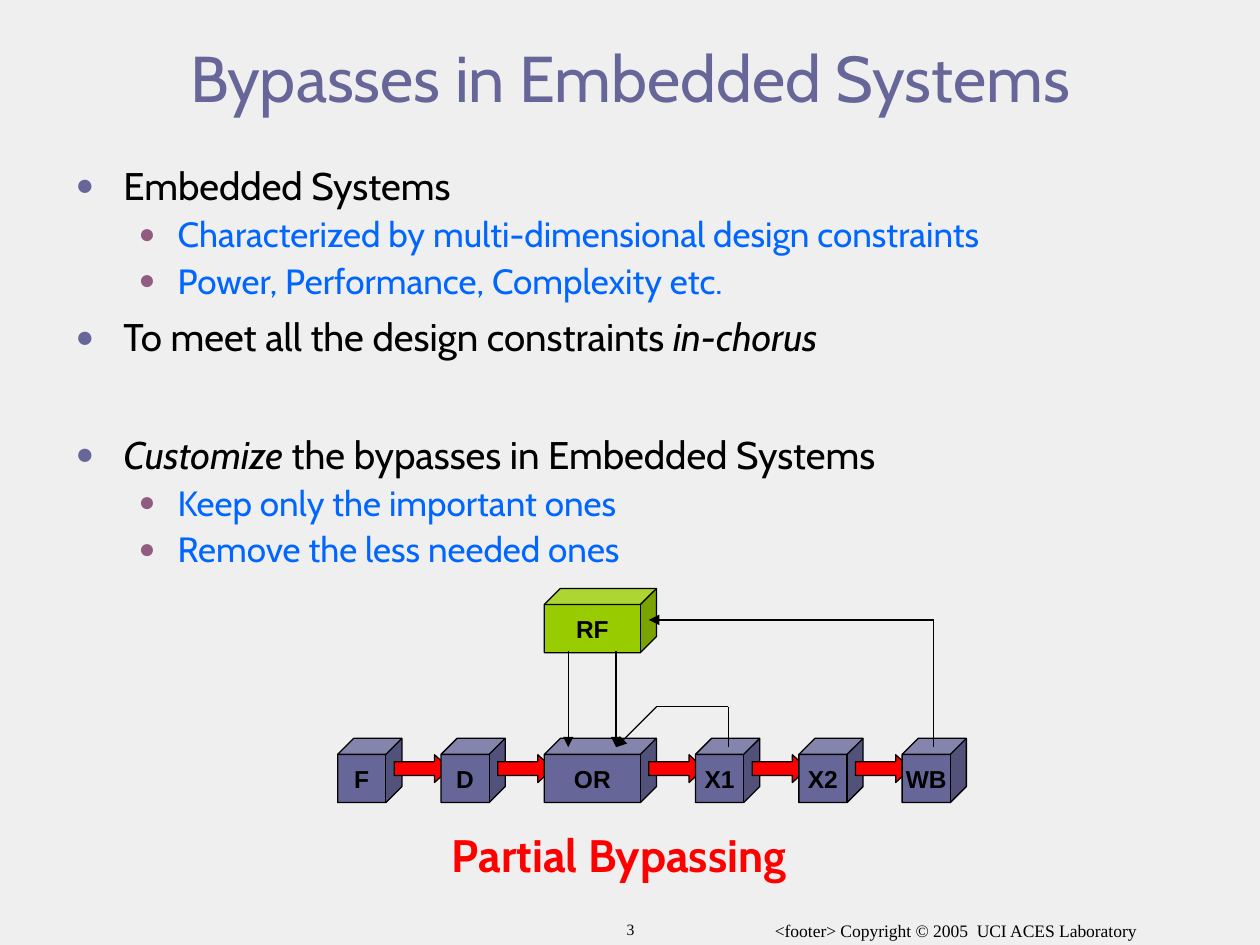
"""Build the slide on partial bypassing in embedded systems."""
import pptx
import pptx.dml.color
import pptx.enum.shapes
import pptx.enum.text
import pptx.oxml
import pptx.oxml.ns
import pptx.util
from pptx.util import Inches

RGBColor = pptx.dml.color.RGBColor
BACKGROUND = RGBColor(0xEF, 0xEF, 0xEF)
BLACK = RGBColor(0, 0, 0)
SLATE = RGBColor(0x66, 0x66, 0x99)
PLUM = RGBColor(0x90, 0x5C, 0x80)
BLUE = RGBColor(0x00, 0x66, 0xFF)
GREEN = RGBColor(0x99, 0xCC, 0x00)
RED = RGBColor(0xFF, 0, 0)
SHAPES = pptx.enum.shapes.MSO_SHAPE
ANCHOR = pptx.enum.text.MSO_ANCHOR
CENTER = pptx.enum.text.PP_ALIGN.CENTER


def add_span(para, text, *, size, font="Cabin", color=BLACK, bold=False, italic=False):
    span = para.add_run()
    span.text = text
    span.font.size = pptx.util.Pt(size)
    span.font.name = font
    span.font.color.rgb = color
    span.font.bold = bold
    span.font.italic = italic


def add_part(kind, left, top, width, height, color):
    part = page.shapes.add_shape(kind, Inches(left), Inches(top), Inches(width), Inches(height))
    part.shadow.inherit = False
    part.fill.solid()
    part.fill.fore_color.rgb = color
    part.line.color.rgb = BLACK
    part.line.width = pptx.util.Pt(0.75)
    return part


deck = pptx.Presentation()
deck.slide_width = Inches(10)
deck.slide_height = Inches(7.5)
page = deck.slides.add_slide(deck.slide_layouts[1])
page.background.fill.solid()
page.background.fill.fore_color.rgb = BACKGROUND

title = page.shapes.title
title.left, title.top, title.width, title.height = Inches(0.5), Inches(0.3), Inches(9), Inches(0.72)
title.text_frame.auto_size = pptx.enum.text.MSO_AUTO_SIZE.NONE
title.text_frame.vertical_anchor = ANCHOR.MIDDLE
para = title.text_frame.paragraphs[0]
para.alignment = CENTER
para.line_spacing = 0.85
add_span(para, "Bypasses in Embedded Systems", size=37, color=SLATE)

body = page.placeholders[1]
body.left, body.top, body.width, body.height = Inches(0.5), Inches(1.29), Inches(9), Inches(3.29)
body.text_frame.auto_size = pptx.enum.text.MSO_AUTO_SIZE.NONE
level_styles = [
    {"indent": 0.38, "hang": 0.38, "bullet": SLATE, "size": 22, "color": BLACK},
    {"indent": 0.81, "hang": 0.31, "bullet": PLUM, "size": 20, "color": BLUE},
]
points = [
    (0, 0, [("Embedded Systems", False)]),
    (1, 6.2, [("Characterized by multi-dimensional design constraints", False)]),
    (1, 6.2, [("Power, Performance, Complexity etc.", False)]),
    (0, 11, [("To meet all the design constraints ", False), ("in-chorus", True)]),
    (0, 44.5, [("Customize", True), (" the bypasses in Embedded Systems", False)]),
    (1, 6.2, [("Keep only the important ones", False)]),
    (1, 6.2, [("Remove the less needed ones", False)]),
]
for index, (level, space, spans) in enumerate(points):
    para = body.text_frame.add_paragraph() if index else body.text_frame.paragraphs[0]
    style = level_styles[level]
    para.level = level
    para.line_spacing = 0.85
    para.space_before = pptx.util.Pt(space)
    properties = para._p.get_or_add_pPr()
    properties.set("marL", str(Inches(style["indent"])))
    properties.set("indent", str(-Inches(style["hang"])))
    for markup in (
        f'<a:buClr {pptx.oxml.ns.nsdecls("a")}><a:srgbClr val="{style["bullet"]}"/></a:buClr>',
        f'<a:buSzPct {pptx.oxml.ns.nsdecls("a")} val="80000"/>',
        f'<a:buFont {pptx.oxml.ns.nsdecls("a")} typeface="Arial"/>',
        f'<a:buChar {pptx.oxml.ns.nsdecls("a")} char="●"/>',
    ):
        properties.append(pptx.oxml.parse_xml(markup))
    for text, italic in spans:
        add_span(para, text, size=style["size"], color=style["color"], italic=italic)

STAGE_TOP, CUBE, WIDE_CUBE, GAP = 5.86, 0.51, 0.89, 0.31
cubes = []
left = 2.68
for name in ("F", "D", "OR", "X1", "X2", "WB"):
    width = WIDE_CUBE if name == "OR" else CUBE
    cubes.append((name, left, STAGE_TOP, width, SLATE))
    left += width + GAP
cubes.append(("RF", 4.32, 4.67, WIDE_CUBE, GREEN))
for name, left, top, width, color in cubes:
    cube = add_part(SHAPES.CUBE, left, top, width, CUBE, color)
    cube.text_frame.word_wrap = False
    cube.text_frame.vertical_anchor = ANCHOR.MIDDLE
    para = cube.text_frame.paragraphs[0]
    para.alignment = CENTER
    add_span(para, name, size=14, font="Arial", bold=True)
    if name not in ("WB", "RF"):
        arrow = add_part(SHAPES.RIGHT_ARROW, left + width - 0.06, 5.99, 0.44, 0.22, RED)
        arrow.adjustments[0] = 0.5
        arrow.adjustments[1] = 0.55

routes = [
    [(4.51, 5.17), (4.51, 5.93)],
    [(4.89, 5.17), (4.89, 5.93)],
    [(5.78, 5.93), (5.78, 5.61), (5.21, 5.61), (4.89, 5.93)],
    [(7.41, 5.93), (7.41, 4.92), (5.15, 4.92)],
]
for route in routes:
    for start, end in zip(route, route[1:]):
        wire = page.shapes.add_connector(
            pptx.enum.shapes.MSO_CONNECTOR.STRAIGHT, *map(Inches, start + end))
        wire.line.color.rgb = BLACK
        wire.line.width = pptx.util.Pt(0.75)
        if end == route[-1]:
            wire.line._get_or_add_ln().append(pptx.oxml.parse_xml(
                f'<a:tailEnd {pptx.oxml.ns.nsdecls("a")} type="triangle"/>'))
        wire._element.spPr.append(pptx.oxml.parse_xml(
            f'<a:effectLst {pptx.oxml.ns.nsdecls("a")}/>'))

labels = [
    ("Partial Bypassing", 3.08, 6.58, 3.67, 0.5, 0.85,
     {"size": 26, "color": RED, "bold": True}),
    ("3", 3.76, 7.25, 2.49, 0.25, 1, {"size": 9, "font": "Times New Roman"}),
    ("<footer> Copyright © 2005  UCI ACES Laboratory", 5.75, 7.25, 3.67, 0.33, 1,
     {"size": 10, "font": "Times New Roman"}),
]
for text, left, top, width, height, spacing, style in labels:
    box = page.shapes.add_textbox(Inches(left), Inches(top), Inches(width), Inches(height))
    box.text_frame.word_wrap = True
    para = box.text_frame.paragraphs[0]
    para.alignment = CENTER
    para.line_spacing = spacing
    add_span(para, text, **style)

deck.save("out.pptx")
